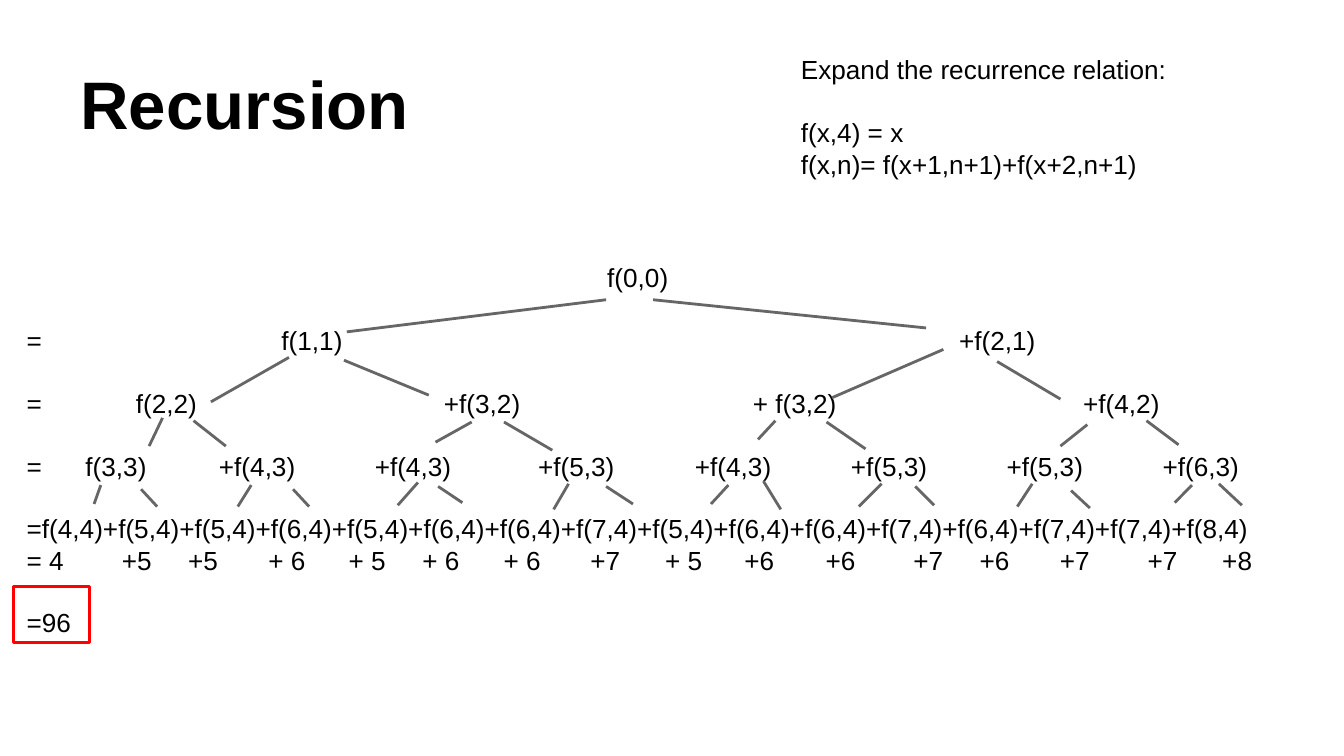
from lxml import etree
from pptx import Presentation
from pptx.dml.color import RGBColor
from pptx.enum.shapes import MSO_CONNECTOR, MSO_SHAPE
from pptx.enum.text import MSO_ANCHOR
from pptx.oxml.ns import qn
from pptx.util import Pt

STRAIGHT = MSO_CONNECTOR.STRAIGHT
RECTANGLE = MSO_SHAPE.RECTANGLE
TOP, BOTTOM = MSO_ANCHOR.TOP, MSO_ANCHOR.BOTTOM

COLORS = {"text": "000000", "branch": "666666", "result": "FF0000"}
FONT = "Arial"
BODY_SIZE = 14
LINE_PITCH = 16.8
INSET = 7.2
LINE_WIDTH = 1.5


class SlideBuilder:
    def __init__(self, slide):
        self.slide = slide

    def color(self, name):
        return RGBColor.from_string(COLORS[name])

    def text_box(self, left, top, width, height, anchor=TOP, lead=0):
        """Return an empty text frame; lead is extra room above the text."""
        box = self.slide.shapes.add_textbox(Pt(left), Pt(top), Pt(width), Pt(height))
        frame = box.text_frame
        frame.word_wrap = True
        frame.vertical_anchor = anchor
        frame.margin_left = frame.margin_right = frame.margin_bottom = Pt(INSET)
        frame.margin_top = Pt(INSET + lead)
        return frame

    def paragraph(self, frame, text, size=BODY_SIZE, bold=False, gap=0, tabs=()):
        first = frame.paragraphs[0]
        line = frame.add_paragraph() if first.runs else first
        line.add_run().text = text
        line.font.name = FONT
        line.font.size = Pt(size)
        line.font.bold = bold
        line.font.color.rgb = self.color("text")
        line.space_before = Pt(gap)
        if size == BODY_SIZE:
            line.line_spacing = Pt(LINE_PITCH)
        if tabs:
            self.tab_stops(line, tabs)

    def tab_stops(self, line, tabs):
        properties = line._p.get_or_add_pPr()
        stops = etree.Element(qn("a:tabLst"))
        for position in tabs:
            etree.SubElement(stops, qn("a:tab"), pos=str(Pt(position)), algn="l")
        properties.find(qn("a:defRPr")).addprevious(stops)

    def branch(self, x1, y1, x2, y2):
        line = self.slide.shapes.add_connector(STRAIGHT, Pt(x1), Pt(y1), Pt(x2), Pt(y2))
        line.line.color.rgb = self.color("branch")
        line.line.width = Pt(LINE_WIDTH)
        etree.SubElement(line._element.spPr, qn("a:effectLst"))

    def frame_box(self, left, top, width, height):
        box = self.slide.shapes.add_shape(RECTANGLE, Pt(left), Pt(top), Pt(width), Pt(height))
        box.shadow.inherit = False
        box.fill.background()
        box.line.color.rgb = self.color("result")
        box.line.width = Pt(LINE_WIDTH)


# Rows of the expansion: text, tab stops, space above
EXPANSION = [
    ("\tf(0,0)", [311], 0),
    ("=\tf(1,1)\t+f(2,1)", [136.5, 499.5], LINE_PITCH),
    ("=\tf(2,2)\t+f(3,2)\t+ f(3,2)\t+f(4,2)", [58.5, 223.5, 389, 566], LINE_PITCH),
    ("=\tf(3,3)\t+f(4,3)\t+f(4,3)\t+f(5,3)\t+f(4,3)\t+f(5,3)\t+f(5,3)\t+f(6,3)",
     [31.5, 103, 186.5, 274, 358, 441.5, 525, 608.5], LINE_PITCH),
    ("=f(4,4)+f(5,4)+f(5,4)+f(6,4)+f(5,4)+f(6,4)+f(6,4)+f(7,4)"
     "+f(5,4)+f(6,4)+f(6,4)+f(7,4)+f(6,4)+f(7,4)+f(7,4)+f(8,4)", [], LINE_PITCH),
    ("= 4\t+5\t+5\t+ 6\t+ 5\t+ 6\t+ 6\t+7\t+ 5\t+6\t+6\t+7\t+6\t+7\t+7\t+8",
     [51, 86.5, 129.5, 172.5, 212, 255.5, 302, 342, 384.5, 428, 475, 510.5,
      553.5, 600.5, 640.5], 0),
    ("=96", [], LINE_PITCH),
]

# Tree branches, level by level: x1, y1, x2, y2
BRANCHES = [
    # from f(0,0)
    (324.7, 160.6, 185.8, 177.8), (349.9, 160.6, 496.1, 175.7),
    # to the second level
    (154.8, 191.5, 113, 215.3), (184.3, 193, 229.7, 211.7),
    (505.4, 187.2, 445.7, 213.1), (534.2, 193.7, 568.1, 213.8),
    # to the third level
    (79.9, 239, 87.1, 223.9), (121, 239, 103.7, 225.4),
    (233.3, 236.9, 252.7, 226.1), (295.9, 241.2, 270, 226.1),
    (406.1, 235.4, 415.4, 225.4), (463.7, 240.5, 442.8, 226.1),
    (568.1, 239, 582.5, 227.5), (631.4, 238.3, 614.2, 225.4),
    # to the fourth level
    (50.4, 270, 54, 259.9), (84.2, 271.4, 75.6, 262.1),
    (127.4, 271.4, 134.6, 259.9), (165.6, 271.4, 157, 262.1),
    (213.1, 270.7, 223.9, 258.5), (247.7, 269.3, 234.7, 260.6),
    (296.6, 272.9, 304.6, 259.2), (339.1, 270, 324.7, 260.6),
    (380.9, 270, 390.2, 259.9), (418.3, 272.9, 409, 257.8),
    (460.1, 271.4, 472.3, 259.2), (500.4, 270.7, 490.3, 260.6),
    (545, 271.4, 553, 259.2), (583.9, 272.2, 573.8, 262.8),
    (629.3, 269.3, 638.6, 259.9), (665.3, 270.7, 653, 259.2),
]

# Relation: text, space above
RELATION = [
    ("Expand the recurrence relation:", 0),
    ("f(x,4) = x", LINE_PITCH),
    ("f(x,n)= f(x+1,n+1)+f(x+2,n+1)", 0),
]


def main():
    deck = Presentation()
    deck.slide_width, deck.slide_height = Pt(720), Pt(405)
    builder = SlideBuilder(deck.slides.add_slide(deck.slide_layouts[6]))

    # Title
    title = builder.text_box(36, 16.5, 648, 67.5, anchor=BOTTOM)
    builder.paragraph(title, "Recursion", size=36, bold=True)

    # Expansion, starting two lines down
    expansion = builder.text_box(7.2, 99.4, 687.6, 267.8, lead=2 * LINE_PITCH)
    for text, tabs, gap in EXPANSION:
        builder.paragraph(expansion, text, gap=gap, tabs=tabs)

    # Tree branches
    for ends in BRANCHES:
        builder.branch(*ends)

    # Frame around the result
    builder.frame_box(7.2, 314, 41, 30.2)

    # Recurrence relation
    relation = builder.text_box(422, 21.6, 288, 77.8)
    for text, gap in RELATION:
        builder.paragraph(relation, text, gap=gap)

    deck.save("out.pptx")


if __name__ == "__main__":
    main()
